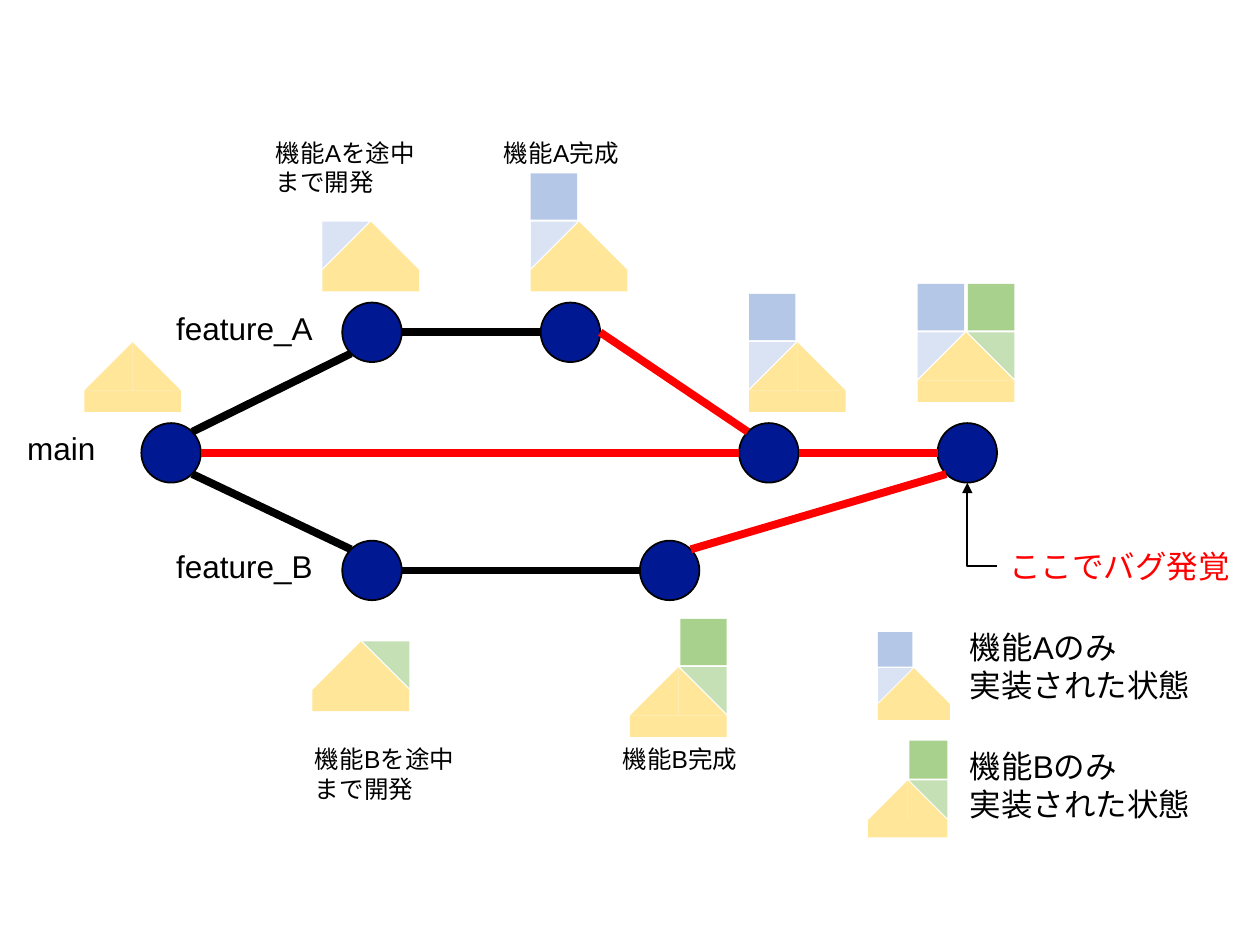
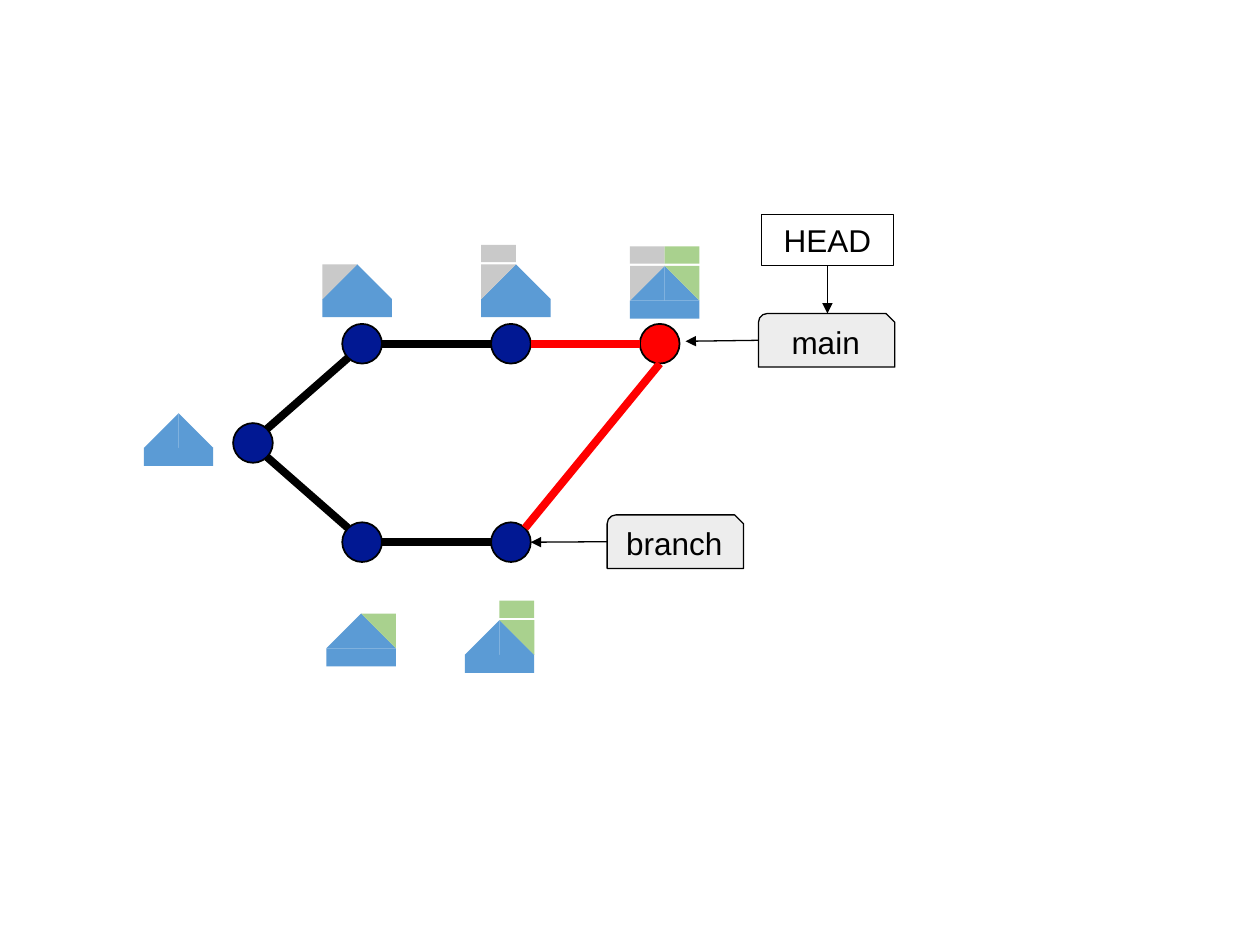
from dataclasses import dataclass

from lxml import etree
from pptx import Presentation
from pptx.dml.color import RGBColor
from pptx.enum import shapes, text
from pptx.oxml.ns import qn
from pptx.util import Cm, Pt

FONT = "Arial"
BLACK = RGBColor(0x00, 0x00, 0x00)
RED = RGBColor(0xFF, 0x00, 0x00)
NAVY = RGBColor(0x01, 0x18, 0x93)
YELLOW = RGBColor(0xFF, 0xE6, 0x99)
BLUE = RGBColor(0x5B, 0x9B, 0xD5)
PALE_BLUE = RGBColor(0xDA, 0xE3, 0xF3)
LIGHT_BLUE = RGBColor(0xB4, 0xC7, 0xE7)
PALE_GREEN = RGBColor(0xC5, 0xE0, 0xB4)
GREEN = RGBColor(0xA9, 0xD1, 0x8E)
GREY = RGBColor(0xC9, 0xC9, 0xC9)
LABEL_GREY = RGBColor(0xED, 0xED, 0xED)

RECT = shapes.MSO_SHAPE.RECTANGLE
TRIANGLE = shapes.MSO_SHAPE.RIGHT_TRIANGLE
TAG = shapes.MSO_SHAPE.SNIP_ROUND_RECTANGLE

# Points on the rim of a commit, in radii from its centre
RIM = {
    "right": (1, 0), "left": (-1, 0), "bottom": (0, 1),
    "top right": (0.71, -0.71), "top left": (-0.71, -0.71),
    "bottom right": (0.71, 0.71), "bottom left": (-0.71, 0.71),
}


@dataclass
class HouseStyle:
    """Colours of a house, and its proportions relative to its width."""
    wall: RGBColor
    feature_a: tuple
    feature_b: tuple
    base: float
    corner: float
    block: float
    block_rise: float


PASTEL = HouseStyle(YELLOW, (PALE_BLUE, LIGHT_BLUE), (PALE_GREEN, GREEN),
                    base=0.22, corner=0.48, block=0.48, block_rise=0.5)
VIVID = HouseStyle(BLUE, (GREY, GREY), (GREEN, GREEN),
                   base=0.26, corner=0.5, block=0.25, block_rise=0.28)


def add_shape(parent, kind, x, y, w, h, fill=None, line=None, line_width=1.0):
    sp = parent.shapes.add_shape(kind, Cm(x), Cm(y), Cm(w), Cm(h))
    sp.shadow.inherit = False
    if fill is None:
        sp.fill.background()
    else:
        sp.fill.solid()
        sp.fill.fore_color.rgb = fill
    if line is None:
        sp.line.fill.background()
    else:
        sp.line.color.rgb = line
        sp.line.width = Pt(line_width)
    return sp


def add_house(s, style, x, apex, width, a=0, b=0):
    """Draw a house; a and b count the finished pieces of each feature."""
    group = s.shapes.add_group_shape()
    half = width / 2
    corner = style.corner * width
    right = x + width - corner

    def triangle(left, side, rotation, fill):
        add_shape(group, TRIANGLE, left, apex, side, side, fill).rotation = rotation

    add_shape(group, RECT, x, apex + half, width, style.base * width, style.wall)
    triangle(x + half, half, 0, style.wall)
    triangle(x, half, 270, style.wall)
    for done, left, rotation, fills in ((a, x, 90, style.feature_a),
                                        (b, right, 180, style.feature_b)):
        if done > 0:
            triangle(left, corner, rotation, fills[0])
        if done > 1:
            add_shape(group, RECT, left, apex - style.block_rise * width,
                      corner, style.block * width, fills[1])


def add_line(s, start, end, color=BLACK, width=4.5, arrow=False,
             kind=shapes.MSO_CONNECTOR.STRAIGHT):
    c = s.shapes.add_connector(kind, *(Cm(v) for v in (*start, *end)))
    c.line.color.rgb = color
    c.line.width = Pt(width)
    props = c._element.spPr
    if arrow:
        etree.SubElement(props.find(qn("a:ln")), qn("a:tailEnd"), type="triangle")
    etree.SubElement(props, qn("a:effectLst"))
    return c


def add_corner_arrow(s, x, y, w, h):
    """Arrow from the lower right, along the bottom and up to the upper left."""
    c = add_line(s, (x, y), (x + w, y + h), width=1, arrow=True,
                 kind=shapes.MSO_CONNECTOR.ELBOW)
    props = c._element.spPr
    props.find(qn("a:prstGeom")).set("prst", "bentConnector2")
    props.find(qn("a:xfrm")).set("rot", "10800000")


def add_history(s, commits, links, diameter, special=None):
    """Draw commits by name, then links (name, rim, name, rim, colour)."""
    r = diameter / 2
    for name, (x, y) in commits.items():
        fill = RED if name == special else NAVY
        add_shape(s, shapes.MSO_SHAPE.OVAL, x - r, y - r, diameter, diameter,
                  fill, BLACK)

    def rim_point(name, side):
        return tuple(c + r * d for c, d in zip(commits[name], RIM[side]))

    for start, start_side, end, end_side, color in links:
        add_line(s, rim_point(start, start_side), rim_point(end, end_side), color)


def write(sp, lines, size=18, color=BLACK, align=None):
    tf = sp.text_frame
    tf.word_wrap = True
    tf.auto_size = text.MSO_AUTO_SIZE.SHAPE_TO_FIT_TEXT
    for i, line in enumerate(lines):
        p = tf.add_paragraph() if i else tf.paragraphs[0]
        p.alignment = align
        r = p.add_run()
        r.text = line
        r.font.name = FONT
        r.font.size = Pt(size)
        r.font.color.rgb = color


def add_text(s, x, y, w, h, *lines, size=18, color=BLACK):
    write(s.shapes.add_textbox(Cm(x), Cm(y), Cm(w), Cm(h)), lines, size, color)


def add_label(s, kind, x, y, w, h, caption, fill=None):
    sp = add_shape(s, kind, x, y, w, h, fill, BLACK, 0.75)
    sp.text_frame.vertical_anchor = text.MSO_ANCHOR.MIDDLE
    write(sp, [caption], align=text.PP_ALIGN.CENTER)


def build_feature_merge(s):
    row_a, row_main, row_b = 6.7, 9.13, 11.5
    commits = {
        "start": (3.45, row_main), "A1": (7.5, row_a), "A2": (11.5, row_a),
        "B1": (7.5, row_b), "B2": (13.5, row_b),
        "merge A": (15.5, row_main), "merge B": (19.5, row_main),
    }
    links = [
        ("start", "top right", "A1", "bottom left", BLACK),
        ("A1", "right", "A2", "left", BLACK),
        ("A2", "right", "merge A", "top left", RED),
        ("start", "right", "merge A", "left", RED),
        ("start", "bottom right", "B1", "top left", BLACK),
        ("B1", "right", "B2", "left", BLACK),
        ("B2", "top right", "merge B", "bottom left", RED),
        ("merge A", "right", "merge B", "left", RED),
    ]
    add_history(s, commits, links, 1.2)

    for x, apex, width, a, b in [
        (1.7, 6.9, 1.95, 0, 0),
        (6.5, 4.47, 1.95, 1, 0),
        (10.7, 4.47, 1.95, 2, 0),
        (15.1, 6.9, 1.95, 2, 0),
        (18.5, 6.7, 1.95, 2, 2),
        (6.3, 12.93, 1.95, 0, 1),
        (12.7, 13.45, 1.95, 0, 2),
        (17.7, 13.47, 1.45, 2, 0),
        (17.5, 15.73, 1.6, 0, 2),
    ]:
        add_house(s, PASTEL, x, apex, width, a, b)

    add_text(s, 0.3, 8.53, 2.8, 1.03, "main")
    for name, y, note_y, left, done_left, legend_y in [
        ("A", 6.1, 2.65, 5.31, 9.91, 12.53),
        ("B", 10.9, 14.88, 6.1, 12.3, 14.93),
    ]:
        add_text(s, 3.3, y, 3.4, 1.03, f"feature_{name}")
        add_text(s, left, note_y, 3.35, 1.45, f"機能{name}を途中", "まで開発", size=14)
        add_text(s, done_left, note_y, 2.84, 0.85, f"機能{name}完成", size=14)
        add_text(s, 19.3, legend_y, 5, 1.8, f"機能{name}のみ", "実装された状態")
    add_text(s, 20.1, 10.9, 5, 1.03, "ここでバグ発覚", color=RED)
    add_corner_arrow(s, 19.5, 9.73, 0.6, 1.68)


def build_branch_merge(s):
    row_main, row_start, row_branch = 6.93, 8.93, 10.93
    commits = {
        "start": (5.1, row_start),
        "main1": (7.3, row_main), "main2": (10.3, row_main),
        "branch1": (7.3, row_branch), "branch2": (10.3, row_branch),
        "merge": (13.3, row_main),
    }
    links = [
        ("start", "top right", "main1", "bottom left", BLACK),
        ("start", "bottom right", "branch1", "top left", BLACK),
        ("main1", "right", "main2", "left", BLACK),
        ("branch1", "right", "branch2", "left", BLACK),
        ("main2", "right", "merge", "left", RED),
        ("branch2", "top right", "merge", "bottom", RED),
    ]
    add_history(s, commits, links, 0.8, special="merge")

    for x, apex, a, b in [
        (2.9, 8.33, 0, 0),
        (6.5, 5.33, 1, 0),
        (9.7, 5.33, 2, 0),
        (12.7, 5.36, 2, 2),
        (6.58, 12.37, 0, 1),
        (9.37, 12.5, 0, 2),
    ]:
        add_house(s, VIVID, x, apex, 1.4, a, b)

    add_label(s, TAG, 15.29, 6.32, 2.75, 1.08, "main", LABEL_GREY)
    add_label(s, TAG, 12.24, 10.38, 2.75, 1.08, "branch", LABEL_GREY)
    add_label(s, RECT, 15.35, 4.32, 2.66, 1.03, "HEAD")
    for start, end in [((15.29, 6.86), (13.82, 6.88)),
                       ((12.24, 10.92), (10.7, 10.93)),
                       ((16.68, 5.35), (16.68, 6.32))]:
        add_line(s, start, end, width=0.75, arrow=True)


def main():
    prs = Presentation()
    prs.slide_width, prs.slide_height = Cm(25.4), Cm(19.05)
    for build in (build_feature_merge, build_branch_merge):
        build(prs.slides.add_slide(prs.slide_layouts[6]))
    prs.save("out.pptx")


if __name__ == "__main__":
    main()
